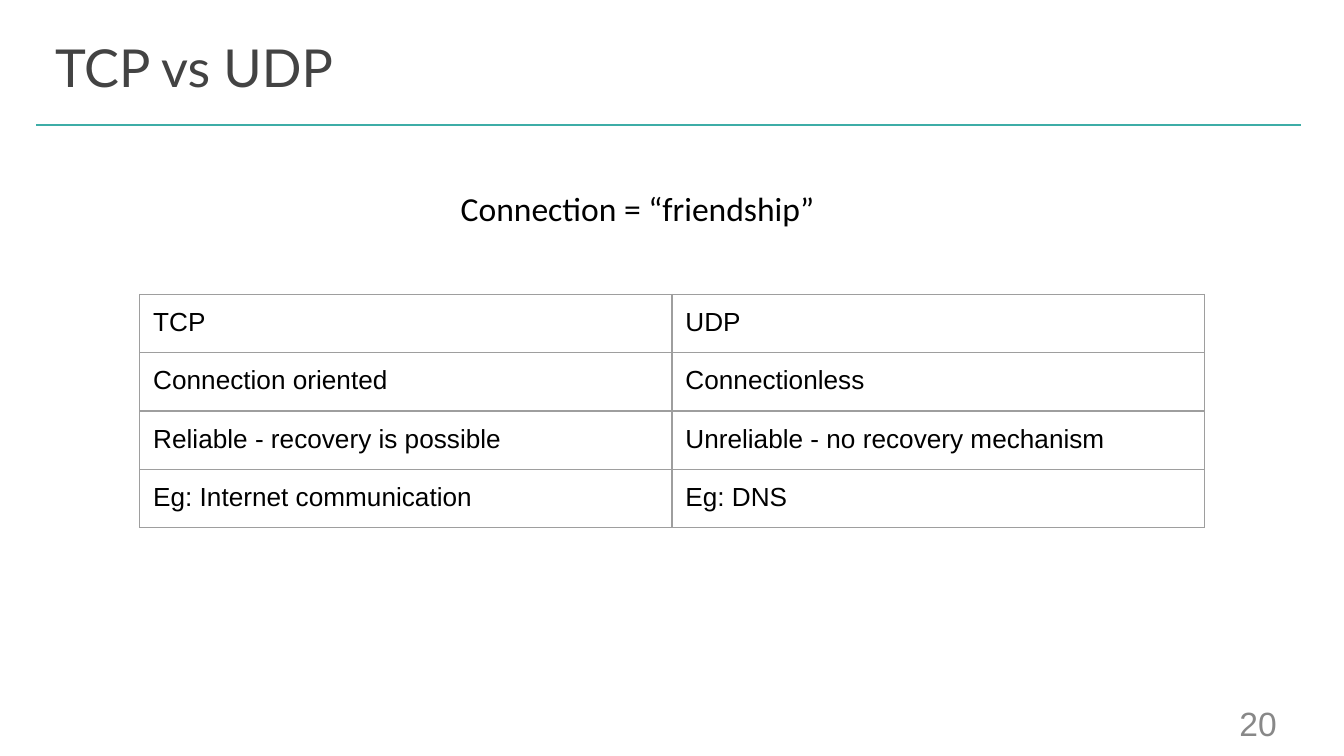
"""Build the slide that compares TCP with UDP."""
from lxml import etree
from pptx import Presentation
from pptx.dml.color import RGBColor
from pptx.enum.shapes import MSO_CONNECTOR
from pptx.enum.text import MSO_ANCHOR, PP_ALIGN
from pptx.oxml.ns import qn
from pptx.util import Inches, Pt

TEAL = RGBColor(0x3E, 0xAD, 0xA7)
DARK = RGBColor(0x43, 0x43, 0x43)
GREY = RGBColor(0x88, 0x88, 0x88)
BORDER = RGBColor(0x9E, 0x9E, 0x9E)
BLACK = RGBColor(0, 0, 0)

ROWS = [
    ("TCP", "UDP"),
    ("Connection oriented", "Connectionless"),
    ("Reliable - recovery is possible", "Unreliable - no recovery mechanism"),
    ("Eg: Internet communication", "Eg: DNS"),
]


def write(tf, text, font, size, color, margin=0, align=PP_ALIGN.LEFT):
    tf.text = text
    tf.word_wrap = True
    tf.vertical_anchor = MSO_ANCHOR.TOP
    tf.margin_left = tf.margin_right = Inches(margin)
    tf.margin_top = tf.margin_bottom = Inches(margin)
    p = tf.paragraphs[0]
    p.alignment = align
    r = p.runs[0]
    r.font.name = font
    r.font.size = Pt(size)
    r.font.color.rgb = color


def set_borders(cell, color, width):
    tc_pr = cell._tc.get_or_add_tcPr()
    for i, side in enumerate(("a:lnL", "a:lnR", "a:lnT", "a:lnB")):
        ln = etree.Element(qn(side), w=str(Pt(width)))
        fill = etree.SubElement(ln, qn("a:solidFill"))
        etree.SubElement(fill, qn("a:srgbClr"), val=str(color))
        tc_pr.insert(i, ln)


prs = Presentation()
prs.slide_width = Inches(10)
prs.slide_height = prs.slide_width * 9 // 16
s = prs.slides.add_slide(prs.slide_layouts[5])

rule = s.shapes.add_connector(
    MSO_CONNECTOR.STRAIGHT, Inches(0.27), Inches(0.93), Inches(9.68), Inches(0.93)
)
rule.line.color.rgb = TEAL
rule.line.width = Pt(0.75)
etree.SubElement(rule._element.spPr, qn("a:effectLst"))

title = s.shapes.title
title.left, title.top = Inches(0.4), Inches(0.25)
title.width, title.height = Inches(3.31), Inches(0.49)
write(title.text_frame, "TCP vs UDP", "Lato", 28, DARK)
title.text_frame.margin_left = title.text_frame.margin_top = Inches(0.01)

number = s.shapes.add_textbox(Inches(7.2), Inches(5.23), Inches(2.3), Inches(0.3))
write(number.text_frame, "20", "Arial", 18, GREY, align=PP_ALIGN.RIGHT)

frame = s.shapes.add_table(
    len(ROWS), 2, Inches(1.04), Inches(2.19), Inches(7.92), Inches(0.42 * len(ROWS))
)
table = frame.table
table.first_row = False
table.horz_banding = False
for i, row in enumerate(ROWS):
    for j, text in enumerate(row):
        cell = table.cell(i, j)
        write(cell.text_frame, text, "Arial", 14, BLACK)
        cell.margin_left = cell.margin_right = Inches(0.1)
        cell.margin_top = cell.margin_bottom = Inches(0.1)
        cell.fill.background()
        set_borders(cell, BORDER, 0.75)

caption = s.shapes.add_textbox(Inches(3.33), Inches(1.3), Inches(3.7), Inches(0.5))
write(caption.text_frame, "Connection = “friendship”", "Calibri", 18, BLACK, margin=0.1)

prs.save("out.pptx")
